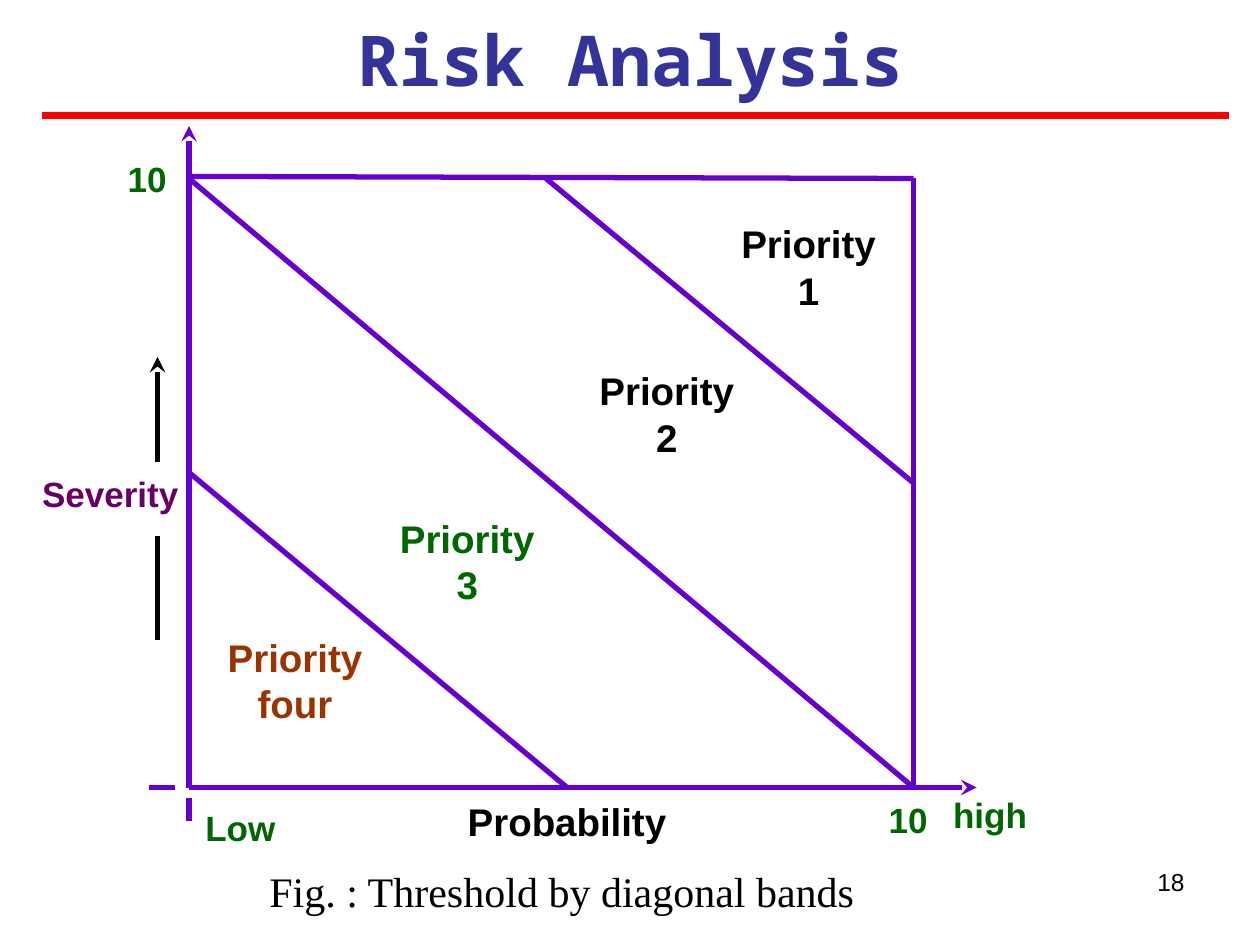
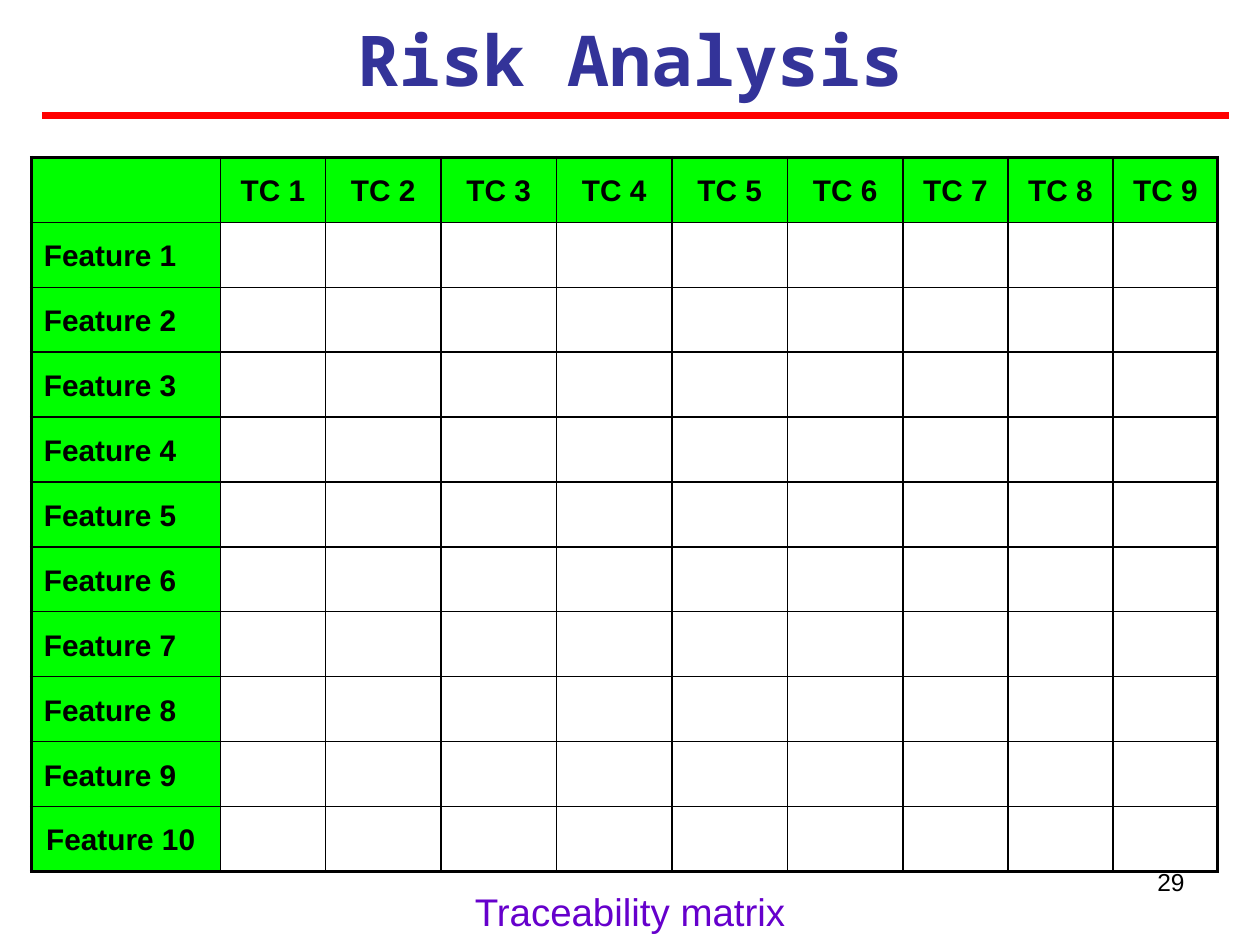
"""Build two risk analysis slides: a priority band diagram and a traceability matrix."""
from itertools import accumulate
from typing import NamedTuple

from lxml.etree import SubElement
from pptx import Presentation
from pptx.dml.color import RGBColor
from pptx.enum.shapes import MSO_CONNECTOR
from pptx.enum.text import MSO_AUTO_SIZE, PP_ALIGN
from pptx.oxml.ns import qn
from pptx.slide import Slide
from pptx.table import _Cell
from pptx.util import Emu, Inches, Pt

COLUMNS, ROWS = 120, 90
UNIT = Inches(10) / COLUMNS

BLACK, RED, NAVY = "000000", "FF0000", "333399"
VIOLET, GREEN, PLUM, RUST, LIME = "6600CC", "006600", "660066", "993300", "00FF00"

LEFT, RIGHT, TOP, BOTTOM = 18, 87, 17, 75

TABLE_LEFT, TABLE_TOP, TABLE_HEIGHT = 3, 15, 68
TABLE_COLUMNS = [18, 10, *[11] * 5, *[10] * 3]
TABLE_ROWS = 11
ROW_HEIGHT = TABLE_HEIGHT / TABLE_ROWS
THIN, THICK = 1, 2.25


class Label(NamedTuple):
    """Text box placed in grid columns and rows."""

    text: str
    column: float
    row: float
    width: float
    height: float
    size: float = 22
    color: str = BLACK
    bold: bool = True
    font: str = "Arial"
    align: PP_ALIGN = PP_ALIGN.CENTER
    inset: bool = False
    grow: bool = True


class Line(NamedTuple):
    """Straight line between two grid points."""

    start: tuple[float, float]
    end: tuple[float, float]
    color: str = VIOLET
    weight: float = 3
    arrow: bool = False


TITLE = Label("Risk Analysis", 4, 1, 112, 9.2, 40, NAVY, font="Noto Sans Mono", inset=True)
TITLE_RULE = Line((4, 11), (117, 11), RED, 4.5)

BAND_LINES = [
    Line((LEFT, BOTTOM), (93, BOTTOM), arrow=True),
    Line((LEFT, BOTTOM), (LEFT, 12), arrow=True),
    Line((LEFT, 45), (54, BOTTOM)),
    Line((LEFT, TOP), (RIGHT, BOTTOM)),
    Line((52, TOP), (RIGHT, 46)),
    Line((RIGHT, BOTTOM), (RIGHT, TOP)),
    Line((18.2, 16.8), (RIGHT, TOP)),
    Line((14.2, BOTTOM), (16.7, BOTTOM)),
    Line((LEFT, 76), (LEFT, 78.2)),
    Line((15, 51), (15, 61), BLACK),
    Line((15, 44), (15, 34), BLACK, arrow=True),
]

BAND_LABELS = [
    Label("Priority 1", 70, 21, 14, 8.8),
    Label("Priority 2", 56, 35, 15, 8.8),
    Label("Priority 3", 38, 49, 13, 8.8, color=GREEN),
    Label("Priority four", 21, 60.4, 14.2, 8.8, color=RUST),
    Label("10", 12, 15, 4, 4, 20, GREEN),
    Label("Severity", 3, 45, 15, 4, 20, PLUM),
    Label("Low", 18.6, 76.8, 8.6, 4, 20, GREEN),
    Label("Probability", 40, 76, 28, 4.4),
    Label("10", 84, 76, 5, 4, 20, GREEN),
    Label("high", 90, 75.6, 8.6, 4, 20, GREEN),
    Label("Fig. : Threshold by diagonal bands", 19, 81.8, 69, 6, 24,
          bold=False, font="Times New Roman", inset=True),
]

MATRIX_CAPTION = Label("Traceability matrix", 4, 84.6, 112, 4.4, color=VIOLET, bold=False)


def grid(count: float) -> Emu:
    """Convert grid units to a slide length."""
    return Emu(round(count * UNIT))


def rgb(color: str) -> RGBColor:
    """Convert a hex string to a colour."""
    return RGBColor.from_string(color)


def draw_label(page: Slide, label: Label) -> None:
    """Draw one text box."""
    box = page.shapes.add_textbox(
        grid(label.column), grid(label.row), grid(label.width), grid(label.height))
    frame = box.text_frame
    frame.word_wrap = True
    frame.auto_size = MSO_AUTO_SIZE.SHAPE_TO_FIT_TEXT if label.grow else MSO_AUTO_SIZE.NONE
    if not label.inset:
        frame.margin_left = frame.margin_right = frame.margin_top = frame.margin_bottom = 0
    para = frame.paragraphs[0]
    para.text = label.text
    para.alignment = label.align
    para.font.name = label.font
    para.font.size = Pt(label.size)
    para.font.bold = label.bold
    para.font.color.rgb = rgb(label.color)


def draw_line(page: Slide, line: Line) -> None:
    """Draw one straight line, with an arrowhead at its end if asked."""
    connector = page.shapes.add_connector(
        MSO_CONNECTOR.STRAIGHT, *map(grid, line.start), *map(grid, line.end))
    connector.line.color.rgb = rgb(line.color)
    connector.line.width = Pt(line.weight)
    properties = connector._element.spPr
    if line.arrow:
        SubElement(properties.find(qn("a:ln")), qn("a:tailEnd"), type="stealth")
    SubElement(properties, qn("a:effectLst"))


def set_borders(cell: _Cell, weights: dict[str, float]) -> None:
    """Give each side of a cell a black border of its own weight."""
    properties = cell._tc.get_or_add_tcPr()
    for side, weight in weights.items():
        border = SubElement(properties, qn(f"a:ln{side}"), w=str(Pt(weight)))
        SubElement(SubElement(border, qn("a:solidFill")), qn("a:srgbClr"), val=BLACK)


def draw_matrix(page: Slide) -> None:
    """Draw the empty matrix with a coloured header row and column."""
    last_row, last_column = TABLE_ROWS - 1, len(TABLE_COLUMNS) - 1
    table = page.shapes.add_table(
        TABLE_ROWS, len(TABLE_COLUMNS), grid(TABLE_LEFT), grid(TABLE_TOP),
        grid(sum(TABLE_COLUMNS)), grid(TABLE_HEIGHT)).table
    table.first_row = table.horz_banding = False
    for column, width in zip(table.columns, TABLE_COLUMNS):
        column.width = grid(width)
    for row_index, row in enumerate(table.rows):
        row.height = grid(ROW_HEIGHT)
        for column_index, cell in enumerate(row.cells):
            outer = {"L": column_index == 0, "R": column_index == last_column,
                     "T": row_index == 0, "B": row_index == last_row}
            set_borders(cell, {side: THICK if edge else THIN for side, edge in outer.items()})
            if row_index == 0 or column_index == 0:
                cell.fill.solid()
                cell.fill.fore_color.rgb = rgb(LIME)
            else:
                cell.fill.background()


def matrix_labels() -> list[Label]:
    """Centre test case names over columns and list features by row."""
    edges = list(accumulate(TABLE_COLUMNS, initial=TABLE_LEFT))
    cases = [
        Label(f"TC {number}", (edges[number] + edges[number + 1]) / 2 - 4, 16.4, 8, 3.4, 17)
        for number in range(1, len(TABLE_COLUMNS))]
    features = [
        Label(f"Feature {number}", 4, 16.4 + number * ROW_HEIGHT,
              13 if number < 10 else 15, 3.4, 17)
        for number in range(1, TABLE_ROWS)]
    return cases + features


def add_page(deck: Presentation, number: int) -> Slide:
    """Add a blank page with the shared title, rule and page number."""
    page = deck.slides.add_slide(deck.slide_layouts[6])
    draw_label(page, Label(str(number), 86, 82, 28, 6.2, 14, bold=False,
                           align=PP_ALIGN.RIGHT, inset=True, grow=False))
    draw_line(page, TITLE_RULE)
    draw_label(page, TITLE)
    return page


def main() -> None:
    """Build and save the deck."""
    deck = Presentation()
    deck.slide_width, deck.slide_height = grid(COLUMNS), grid(ROWS)

    bands = add_page(deck, 18)
    for line in BAND_LINES:
        draw_line(bands, line)
    for label in BAND_LABELS:
        draw_label(bands, label)

    matrix = add_page(deck, 29)
    draw_matrix(matrix)
    for label in [MATRIX_CAPTION, *matrix_labels()]:
        draw_label(matrix, label)

    deck.save("out.pptx")


if __name__ == "__main__":
    main()
